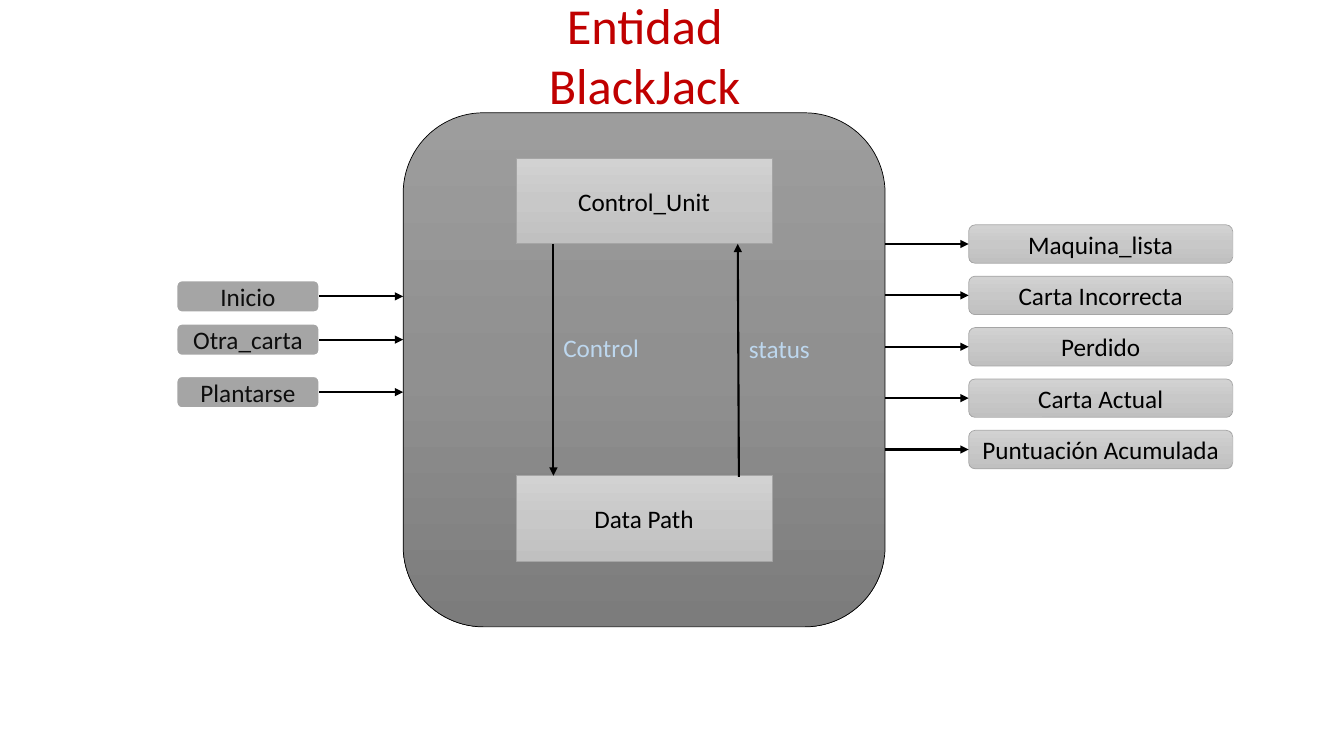
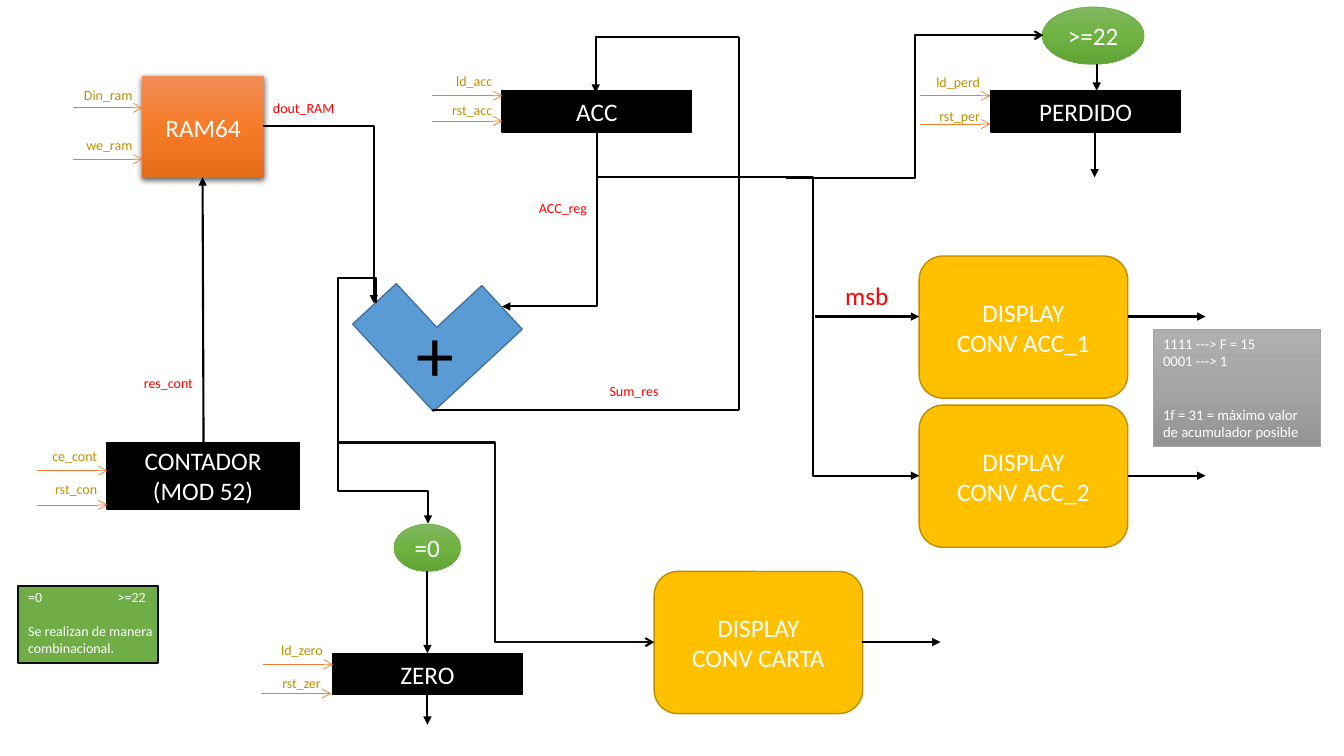
from copy import deepcopy
from lxml.etree import SubElement
from pptx import Presentation
from pptx.dml.color import RGBColor
from pptx.enum.shapes import MSO_CONNECTOR as LINK, MSO_SHAPE as SHAPE
from pptx.enum.text import MSO_ANCHOR as ANCHOR, MSO_AUTO_SIZE as FIT, PP_ALIGN as ALIGN
from pptx.oxml.ns import qn
from pptx.util import Pt

FONT = "Calibri"
COLORS = {
    "black": "000000", "ink": "0D0D0D", "white": "FFFFFF", "title": "C00000",
    "red": "FF0000", "gold": "BF9000", "orange": "ED7D31", "sky": "BDD7EE",
    "gray": "A5A5A5", "blue": "5B9BD5", "navy": "43739E", "amber": "FFC000",
    "amber_edge": "BD8E00", "green": "70AD47",
}
GRADIENTS = {
    "body": ("9D9D9D", "909090", "7C7C7C"),
    "silver": ("D2D2D2", "C8C8C8", "C0C0C0"),
    "ram": ("F18C57", "F67B28", "E56C19"),
    "leaf": ("81B861", "6FB242", "62A336"),
    "note": ("AFAFAF", "A5A5A5", "939393"),
}
STYLES = {
    "entity": dict(kind=SHAPE.ROUNDED_RECTANGLE, fill="body", edge="black", width=0.5),
    "unit": dict(kind=SHAPE.RECTANGLE, fill="silver", edge="gray", width=0.5, color="black"),
    "input": dict(kind=SHAPE.ROUNDED_RECTANGLE, fill="gray", edge="white", width=1.5, color="ink"),
    "output": dict(kind=SHAPE.ROUNDED_RECTANGLE, fill="silver", edge="gray", width=0.5, color="black"),
    "memory": dict(kind=SHAPE.RECTANGLE, fill="ram"),
    "register": dict(kind=SHAPE.RECTANGLE, fill="black", edge="black", width=1),
    "display": dict(kind=SHAPE.ROUNDED_RECTANGLE, fill="amber", edge="amber_edge", width=1),
    "compare": dict(kind=SHAPE.OVAL, fill="leaf", edge="green", width=0.5),
    "adder": dict(kind=SHAPE.CORNER, fill="blue", edge="navy", width=1),
    "note": dict(kind=SHAPE.RECTANGLE, fill="note", edge="gray", width=0.5),
    "legend": dict(kind=SHAPE.RECTANGLE, fill="green", edge="ink", width=1.5),
}

TITLE = "Entidad BlackJack"
TITLE_BOX = (380.2, -7.9, 160.6, 94.3)
ENTITY_BOX = (288, 80.6, 344.2, 367.2)
UNITS = [("Control_Unit", 113), ("Data Path", 339.8)]
UNIT_X, UNIT_SIZE = 368.6, (182.9, 61.2)
INPUTS = [("Inicio", 200.2), ("Otra_carta", 231.1), ("Plantarse", 268.6)]
INPUT_X, INPUT_SIZE = 126, (102.2, 23)
OUTPUTS = ["Maquina_lista", "Carta Incorrecta", "Perdido", "Carta Actual",
           "Puntuación Acumulada"]
OUTPUT_X, OUTPUT_Y, OUTPUT_STEP, OUTPUT_SIZE = 691.9, 160.6, 36.7, (188.6, 27.4)
BUSES = [("Control", 395.3, 234, (395.3, 174.2, 395.3, 339.8)),
         ("status", 527.8, 234.7, (527.8, 340.6, 527, 174.2))]

REGISTER_SIZE, DISPLAY_SIZE = (135.4, 29.5), (149, 101.5)
BLOCKS = [
    ("register", "ACC", (358.6, 64.8, *REGISTER_SIZE)),
    ("register", "CONTADOR\n(MOD 52)", (76.3, 316.1, 137.5, 47.5)),
    ("register", "PERDIDO", (707.8, 64.8, *REGISTER_SIZE)),
    ("register", "ZERO", (237.6, 466.6, *REGISTER_SIZE)),
    ("display", "DISPLAY\nCONV ACC_1", (656.6, 182.9, *DISPLAY_SIZE)),
    ("display", "DISPLAY\nCONV ACC_2", (656.6, 289.4, *DISPLAY_SIZE)),
    ("display", "DISPLAY\nCONV CARTA", (467.3, 408.2, *DISPLAY_SIZE)),
    ("compare", "=0", (281.5, 374.4, 47.5, 33.8)),
    ("compare", ">=22", (744.5, 5, 72.7, 41)),
    ("legend", "", (13, 418.3, 100.1, 55.4)),
]
RAM_BOX = (101.5, 54, 87.1, 73.4)
RAM_SHADOW = dict(blurRad=Pt(4.5), dist=Pt(1.5), dir=90 * 60000, algn="ctr", rotWithShape=0)
ADDER_BOX, ADDER_TURN = (269.3, 190.8, 86.4, 85), 317.2
ARROWS = [
    (145.4, 316.1, 144.7, 126.7),
    (783.4, 45.4, 783.4, 64.8),
    (305.3, 408.2, 305.3, 466.6),
    (305.3, 495.4, 305.3, 517.7),
    (781.9, 93.6, 781.9, 126.7),
    (582, 226.1, 656.6, 226.1),
    (805.7, 226.1, 861.1, 226.1),
    (805.7, 339.8, 861.1, 339.8),
    (615.6, 458.6, 671.8, 458.6),
]
SUM_LINES = [(527.8, 26.6, 527.8, 293), (308.9, 293, 527.8, 293)]
ELBOWS = [
    dict(box=(187.9, 90, 79.2, 126.7), bends=2),
    dict(box=(329.8, 122.4, 125.3, 67.7), bends=2, turn=90),
    dict(box=(426.2, 126.7, 230.4, 213.1), bends=3, adjust=(0.672,)),
    dict(box=(425.5, 26.6, 102.2, 39.6), bends=2, turn=180, flip="flipV"),
    dict(box=(208.1, 276.5, 157.7, 37.4), bends=5, turn=270, flip="flipH",
         adjust=(-0.114, -0.716, 0.852)),
    dict(box=(240.5, 316.1, 226.8, 142.6), bends=3, adjust=(0.5,), head="arrow", color="ink"),
    dict(box=(561.6, 25.2, 183.6, 102.2), bends=3, adjust=(0.5,), flip="flipV", head="arrow"),
]
SIGNALS = [
    ("Din_ram", 38.2, 58.3, 77), ("we_ram", 38.2, 93.6, 113.8),
    ("ce_cont", 13, 316.1, 336.2), ("rst_con", 13, 339.8, 360.7),
    ("ld_acc", 295.2, 48.2, 68.4), ("rst_acc", 295.2, 69.1, 86.4),
    ("ld_zero", 174.2, 454.3, 474.5), ("rst_zer", 172.8, 478.1, 495.4),
    ("ld_perd", 643.7, 49, 68.4), ("rst_per", 643.7, 73.4, 88.6),
]
SIGNAL_SIZE, SIGNAL_INDENT, SIGNAL_REACH = (63.4, 20.2), 13.6, 50.2
WIRES = [("dout_RAM", 187.9, 67.7, ALIGN.LEFT), ("res_cont", 81.4, 264.2, ALIGN.RIGHT),
         ("ACC_reg", 362.9, 139, ALIGN.RIGHT), ("Sum_res", 414, 270, ALIGN.RIGHT)]
NOTE = "1111 ---> F = 15\n0001 ---> 1\n1f = 31 = máximo valor de acumulador posible"
NOTE_BOX, NOTE_GAP = (823.7, 235.4, 119.5, 83.5), 25.6
LEGEND = "=0\t>=22\nSe realizan de manera combinacional."
LEGEND_BOX, LEGEND_GAP, LEGEND_TAB = (13, 416.9, 151.9, 55.4), 12.2, 64


def rgb(name):
    return RGBColor.from_string(COLORS[name])


def pts(values):
    return [Pt(value) for value in values]


def write(frame, text, size=18, color="white", align=ALIGN.CENTER, anchor=ANCHOR.MIDDLE,
          fit=FIT.NONE, last_gap=0):
    for name, value in dict(text=text, word_wrap=True, vertical_anchor=anchor,
                            auto_size=fit).items():
        setattr(frame, name, value)
    for paragraph in frame.paragraphs:
        paragraph.alignment = align
        for run in paragraph.runs:
            for name, value in dict(name=FONT, size=Pt(size)).items():
                setattr(run.font, name, value)
            run.font.color.rgb = rgb(color)
    if last_gap:
        frame.paragraphs[-1].space_before = Pt(last_gap)


def paint(shape, fill):
    if fill in COLORS:
        shape.fill.solid()
        shape.fill.fore_color.rgb = rgb(fill)
        return
    shape.fill.gradient()
    shape.fill.gradient_angle = 270
    stops = shape.element.spPr.find(".//" + qn("a:gsLst"))
    stops.insert(1, deepcopy(stops[0]))
    for stop, position, shade in zip(shape.fill.gradient_stops, (0, 0.5, 1), GRADIENTS[fill]):
        stop.position = position
        stop.color.rgb = RGBColor.from_string(shade)


def block(slide, style, box, text="", **text_format):
    look = STYLES[style]
    shape = slide.shapes.add_shape(look["kind"], *pts(box))
    shape.shadow.inherit = False
    paint(shape, look["fill"])
    if "edge" in look:
        shape.line.color.rgb = rgb(look["edge"])
        shape.line.width = Pt(look["width"])
    else:
        shape.line.fill.background()
    if text:
        write(shape.text_frame, text, **{"color": look.get("color", "white"), **text_format})
    return shape


def label(slide, text, box, **text_format):
    frame = slide.shapes.add_textbox(*pts(box)).text_frame
    write(frame, text, anchor=ANCHOR.TOP, fit=FIT.SHAPE_TO_FIT_TEXT, **text_format)
    return frame


def finish(link, color, width, head):
    link.line.color.rgb = rgb(color)
    link.line.width = Pt(width)
    outline = link.element.spPr
    if head:
        SubElement(outline.find(qn("a:ln")), qn("a:tailEnd"), type=head)
    SubElement(outline, qn("a:effectLst"))


def line(slide, ends, color="black", width=1.5, head="triangle"):
    finish(slide.shapes.add_connector(LINK.STRAIGHT, *pts(ends)), color, width, head)


def elbow(slide, box, bends, turn=0, flip=None, adjust=(), head="triangle", color="black"):
    x, y, w, h = box
    link = slide.shapes.add_connector(LINK.ELBOW, *pts((x, y, x + w, y + h)))
    frame = link.element.spPr.find(qn("a:xfrm"))
    frame.set("rot", str(turn * 60000))
    if flip:
        frame.set(flip, "1")
    outline = link.element.spPr.find(qn("a:prstGeom"))
    outline.set("prst", f"bentConnector{bends}")
    guides = outline.find(qn("a:avLst"))
    for number, value in enumerate(adjust, 1):
        SubElement(guides, qn("a:gd"), name=f"adj{number}", fmla=f"val {round(value * 100000)}")
    finish(link, color, 1.5, head)


def build_entity(deck):
    slide = deck.slides.add_slide(deck.slide_layouts[5])
    title = slide.shapes.title
    for name, value in zip(("left", "top", "width", "height"), pts(TITLE_BOX)):
        setattr(title, name, value)
    write(title.text_frame, TITLE, size=36, color="title", anchor=ANCHOR.TOP)
    block(slide, "entity", ENTITY_BOX)
    for name, y in UNITS:
        block(slide, "unit", (UNIT_X, y, *UNIT_SIZE), name)
    for name, x, y, ends in BUSES:
        line(slide, ends)
        label(slide, name, (x, y, 82.1, 28.8), color="sky", align=ALIGN.LEFT)
    entity_left, entity_right = ENTITY_BOX[0], ENTITY_BOX[0] + ENTITY_BOX[2]
    for name, y in INPUTS:
        block(slide, "input", (INPUT_X, y, *INPUT_SIZE), name)
        middle = y + INPUT_SIZE[1] / 2
        line(slide, (INPUT_X + INPUT_SIZE[0], middle, entity_left, middle))
    for row, name in enumerate(OUTPUTS):
        y = OUTPUT_Y + row * OUTPUT_STEP
        block(slide, "output", (OUTPUT_X, y, *OUTPUT_SIZE), name)
        middle = y + OUTPUT_SIZE[1] / 2
        line(slide, (entity_right, middle, OUTPUT_X, middle))


def build_data_path(deck):
    slide = deck.slides.add_slide(deck.slide_layouts[6])
    ram = block(slide, "memory", RAM_BOX, "RAM64")
    effects = ram.element.spPr.find(qn("a:effectLst"))
    shadow = SubElement(effects, qn("a:outerShdw"),
                        {name: str(value) for name, value in RAM_SHADOW.items()})
    shade = SubElement(shadow, qn("a:srgbClr"), val=COLORS["black"])
    SubElement(shade, qn("a:alpha"), val="63000")
    block(slide, "adder", ADDER_BOX).rotation = ADDER_TURN
    for style, text, box in BLOCKS:
        block(slide, style, box, text)
    for ends in ARROWS:
        line(slide, ends)
    for ends in SUM_LINES:
        line(slide, ends, head=None)
    for bend in ELBOWS:
        elbow(slide, **bend)
    for name, x, label_y, arrow_y in SIGNALS:
        label(slide, name, (x, label_y, *SIGNAL_SIZE), size=10, color="gold", align=ALIGN.RIGHT)
        start = x + SIGNAL_INDENT
        line(slide, (start, arrow_y, start + SIGNAL_REACH, arrow_y), "orange", 0.5, "arrow")
    for name, x, y, align in WIRES:
        label(slide, name, (x, y, *SIGNAL_SIZE), size=10, color="red", align=align)
    label(slide, "msb", (591.8, 196.6, 54.7, 28.8), color="red")
    label(slide, "+", (290.2, 216, 44.6, 72.7), size=54, color="black", align=ALIGN.LEFT)
    block(slide, "note", NOTE_BOX, NOTE, size=10.5, align=ALIGN.LEFT, anchor=ANCHOR.TOP,
          fit=FIT.SHAPE_TO_FIT_TEXT, last_gap=NOTE_GAP)
    legend = label(slide, LEGEND, LEGEND_BOX, size=10, align=ALIGN.LEFT, last_gap=LEGEND_GAP)
    tabs = SubElement(legend.paragraphs[0]._p.get_or_add_pPr(), qn("a:tabLst"))
    SubElement(tabs, qn("a:tab"), pos=str(Pt(LEGEND_TAB)), algn="l")


deck = Presentation()
deck.slide_width, deck.slide_height = Pt(960), Pt(540)
build_entity(deck)
build_data_path(deck)
deck.save("out.pptx")
